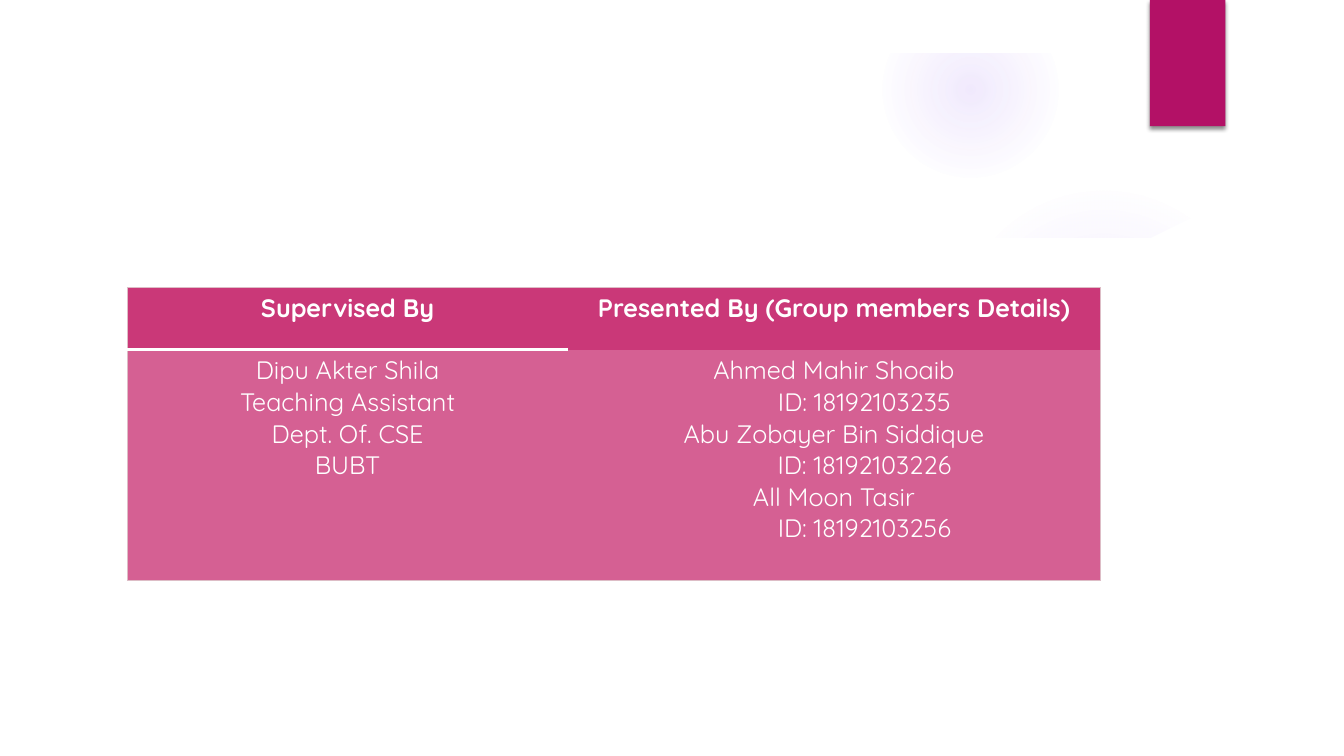
from lxml import etree
from pptx import Presentation
from pptx.dml.color import RGBColor
from pptx.enum.shapes import MSO_SHAPE
from pptx.enum.text import PP_ALIGN
from pptx.oxml import parse_xml
from pptx.oxml.ns import nsdecls, qn
from pptx.util import Cm, Pt

OVAL, RECT, FRAME = MSO_SHAPE.OVAL, MSO_SHAPE.RECTANGLE, MSO_SHAPE.FRAME
CENTER = PP_ALIGN.CENTER
WHITE, PINK, ROSE, GLOW, TAB = "FFFFFF", "CA3878", "D56093", "9B6BF2", "B31166"
EDGE, RULE = ("DDBDC6", 0.75), (WHITE, 2.25)
FONT = {"name": "Quicksand", "size": Pt(18)}
INDENT = Cm(1.54)
WAVE = [(1.27, 5.18), (6.32, 5.77), (12.4, 6.17), (17.98, 6.3), (22.02, 6.22),
        (24.79, 6.07), (26.92, 5.89), (29.06, 5.69), (31.19, 5.41),
        (32.61, 5.18), (32.61, 17.78), (1.27, 17.78)]
CELLS = [
    [["Supervised By"], ["Presented By (Group members Details)"]],
    [["Dipu Akter Shila", "Teaching Assistant", "Dept. Of. CSE", "BUBT"],
     ["Ahmed Mahir Shoaib", "ID: 18192103235",
      "Abu Zobayer Bin Siddique", "ID: 18192103226",
      "All Moon Tasir", "ID: 18192103256"]],
]
SIDES = [
    [{"L": EDGE, "T": EDGE, "B": RULE}, {"R": EDGE, "T": EDGE}],
    [{"L": EDGE, "T": RULE, "B": EDGE}, {"R": EDGE, "B": EDGE}],
]


def paint(fill, color):
    """Fill with one solid colour."""
    fill.solid()
    fill.fore_color.rgb = RGBColor.from_string(color)


def finish(shape, color):
    """Give a shape a flat fill without line or shadow."""
    paint(shape.fill, color)
    shape.line.fill.background()
    shape.shadow.inherit = False
    return shape


def add_block(slide, kind, box, color):
    """Add a plain preset shape."""
    shape = slide.shapes.add_shape(kind, *map(Cm, box))
    return finish(shape, color)


def add_glow(slide, box, stops):
    """Add a circle that fades out from its centre."""
    shape = add_block(slide, OVAL, box, GLOW)
    marks = "".join(
        f'<a:gs pos="{pos * 1000}"><a:srgbClr val="{GLOW}">'
        f'<a:alpha val="{alpha * 1000}"/></a:srgbClr></a:gs>'
        for pos, alpha in stops)
    fade = parse_xml(
        f'<a:gradFill {nsdecls("a")}><a:gsLst>{marks}</a:gsLst>'
        '<a:path path="circle"><a:fillToRect l="50000" t="50000" '
        'r="50000" b="50000"/></a:path></a:gradFill>')
    props = shape.element.spPr
    props.replace(props.find(qn("a:solidFill")), fade)


def add_wave(slide):
    """Add the white sheet with a curved top edge."""
    pen = slide.shapes.build_freeform(*WAVE[0], scale=Cm(1))
    pen.add_line_segments(WAVE[1:], close=True)
    finish(pen.convert_to_shape(), WHITE)


def add_tab(slide):
    """Add the page tab with its soft shadow."""
    shape = add_block(slide, RECT, (28.98, 0, 1.9, 3.18), TAB)
    cast = parse_xml(
        f'<a:outerShdw {nsdecls("a")} blurRad="{Pt(3)}" dist="{Pt(2)}" '
        'dir="5400000" rotWithShape="0"><a:srgbClr val="000000">'
        '<a:alpha val="45000"/></a:srgbClr></a:outerShdw>')
    shape.element.spPr.find(qn("a:effectLst")).append(cast)


def set_sides(cell, sides):
    """Draw the given cell borders and hide the others."""
    props = cell._tc.get_or_add_tcPr()
    for spot, side in enumerate("LRTB"):
        line = etree.Element(qn(f"a:ln{side}"))
        if side in sides:
            color, width = sides[side]
            line.set("w", str(Pt(width)))
            solid = etree.SubElement(line, qn("a:solidFill"))
            etree.SubElement(solid, qn("a:srgbClr"), val=color)
        else:
            etree.SubElement(line, qn("a:noFill"))
        props.insert(spot, line)


def write(cell, lines, bold):
    """Write centred lines, with the ID lines set in."""
    frame = cell.text_frame
    for spot, text in enumerate(lines):
        para = frame.add_paragraph() if spot else frame.paragraphs[0]
        para.alignment = CENTER
        if text.startswith("ID"):
            para._p.get_or_add_pPr().set("marL", str(INDENT))
        run = para.add_run()
        run.text = text
        for key, value in {**FONT, "bold": bold}.items():
            setattr(run.font, key, value)
        run.font.color.rgb = RGBColor.from_string(WHITE)


def add_grid(slide):
    """Add the table of supervisor and group members."""
    box = map(Cm, (3.21, 7.25, 24.51, 7.38))
    table = slide.shapes.add_table(2, 2, *box).table
    table.first_row = table.horz_banding = False
    for col, width in zip(table.columns, (11.1, 13.41)):
        col.width = Cm(width)
    for row, height in zip(table.rows, (1.56, 5.82)):
        row.height = Cm(height)
    for r, row in enumerate(CELLS):
        for c, lines in enumerate(row):
            cell = table.cell(r, c)
            paint(cell.fill, ROSE if r else PINK)
            set_sides(cell, SIDES[r][c])
            write(cell, lines, r == 0)


def main():
    """Build the slide and save it."""
    deck = Presentation()
    deck.slide_width, deck.slide_height = Cm(33.87), Cm(19.05)
    slide = deck.slides.add_slide(deck.slide_layouts[6])
    add_glow(slide, (23.9, 4.65, 7.82, 7.82), [(0, 7), (36, 6), (69, 0)])
    add_glow(slide, (22.23, 0.03, 4.45, 4.45), [(0, 14), (36, 7), (73, 0)])
    add_wave(slide)
    frame = add_block(slide, FRAME, (0, 0, 33.87, 19.05), WHITE)
    frame.adjustments[0] = 0.07
    add_tab(slide)
    add_grid(slide)
    deck.save("out.pptx")


if __name__ == "__main__":
    main()
